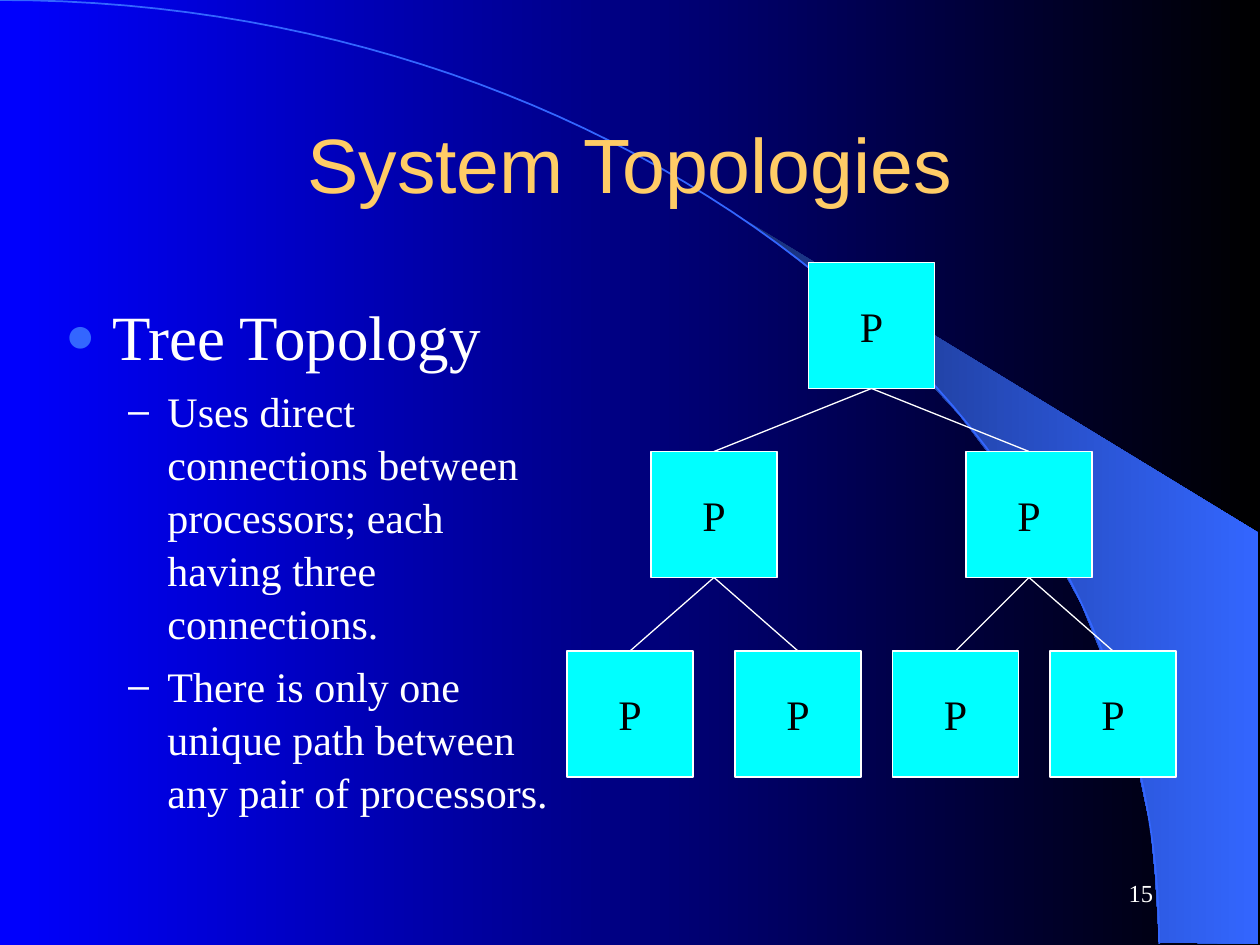
from lxml.etree import SubElement
from pptx import Presentation
from pptx.dml.color import RGBColor
from pptx.enum.shapes import MSO_CONNECTOR, MSO_SHAPE
from pptx.enum.text import MSO_ANCHOR, MSO_AUTO_SIZE, PP_ALIGN
from pptx.oxml.ns import qn
from pptx.util import Pt

BLUE = RGBColor(0x00, 0x00, 0xFF)
BLACK = RGBColor(0x00, 0x00, 0x00)
WHITE = RGBColor(0xFF, 0xFF, 0xFF)
GOLD = RGBColor(0xFF, 0xCC, 0x66)
CYAN = RGBColor(0x00, 0xFF, 0xFF)
SKY = RGBColor(0x33, 0x66, 0xFF)
NAVY = RGBColor(0x18, 0x2F, 0x76)

SERIF = "Times New Roman"
BOX = 72  # side of a processor square

# Left and top of each processor, level by level
TREE = [
    [(462, 150)],
    [(372, 258), (552, 258)],
    [(324, 372), (420, 372), (510, 372), (600, 372)],
]

FAN = [
    (662.4, 538.6), (719.3, 539.3), (719.3, 304.6), (424.1, 124.6),
    (449.3, 143.3), (470.2, 159.8), (493.2, 180), (515.5, 201.6),
    (548.6, 237.6), (578.2, 276.5), (599, 310.3), (617.8, 344.9),
    (632.2, 380.2), (643, 411.8), (650.2, 438.5), (657.4, 472.3),
    (660.2, 501.1),
]
ARC = [(0, 0), (365.8, 0), (662.4, 241.2), (662.4, 539.3)]  # Bézier controls

BULLETS = [
    ("Tree Topology", 0),
    ("Uses direct connections between processors; each having three "
     "connections.", 1),
    ("There is only one unique path between any pair of processors.", 1),
]
LEVELS = [
    {"size": 36, "margin": 27, "indent": -27, "before": 0,
     "char": "●", "color": SKY, "percent": 80},
    {"size": 24, "margin": 58.5, "indent": -22.5, "before": 6,
     "char": "–", "color": WHITE, "percent": 90},
]


def place(shape, left, top, width, height):
    box = {"left": left, "top": top, "width": width, "height": height}
    for name, value in box.items():
        setattr(shape, name, Pt(value))


def write(paragraph, text, size, color, font=SERIF, alignment=None):
    paragraph.alignment = alignment
    run = paragraph.add_run()
    run.text = text
    for name, value in {"name": font, "size": Pt(size)}.items():
        setattr(run.font, name, value)
    run.font.color.rgb = color


def set_gradient(fill, first, last):
    fill.gradient()
    fill.gradient_angle = 0
    for stop, color, position in zip(fill.gradient_stops, (first, last), (0, 1)):
        stop.color.rgb = color
        stop.position = position


def add_outline(slide, points, close):
    """Freeform through the points, sent behind all other shapes."""
    (left, top), *rest = [(Pt(x), Pt(y)) for x, y in points]
    builder = slide.shapes.build_freeform(left, top)
    builder.add_line_segments(rest, close=close)
    shape = builder.convert_to_shape()
    shape.shadow.inherit = False
    tree = shape.element.getparent()
    tree.insert(2, shape.element)
    return shape


def bezier(controls, steps=60):
    weights = (1, 3, 3, 1)
    for step in range(steps + 1):
        t = step / steps
        factors = [w * t ** i * (1 - t) ** (3 - i)
                   for i, w in enumerate(weights)]
        yield tuple(sum(f * point[axis] for f, point in zip(factors, controls))
                    for axis in (0, 1))


def add_backdrop(slide):
    set_gradient(slide.background.fill, BLUE, BLACK)
    arc = add_outline(slide, bezier(ARC), close=False)
    arc.fill.background()
    arc.line.color.rgb = SKY
    arc.line.width = Pt(1)
    fan = add_outline(slide, FAN, close=True)
    set_gradient(fan.fill, NAVY, SKY)
    fan.line.fill.background()


def set_bullet(paragraph, level):
    properties = paragraph._p.get_or_add_pPr()
    properties.set("marL", str(Pt(level["margin"])))
    properties.set("indent", str(Pt(level["indent"])))
    color = SubElement(properties, qn("a:buClr"))
    SubElement(color, qn("a:srgbClr"), val=str(level["color"]))
    SubElement(properties, qn("a:buSzPct"), val=str(level["percent"] * 1000))
    SubElement(properties, qn("a:buChar"), char=level["char"])


def fill_body(body):
    place(body, 30, 164, 300, 324)
    frame = body.text_frame
    frame.auto_size = MSO_AUTO_SIZE.NONE
    for index, (text, depth) in enumerate(BULLETS):
        level = LEVELS[depth]
        paragraph = frame.add_paragraph() if index else frame.paragraphs[0]
        set_bullet(paragraph, level)
        paragraph.level = depth
        paragraph.space_before = Pt(level["before"])
        paragraph.line_spacing = 1.05
        write(paragraph, text, level["size"], WHITE)


def add_processor(slide, left, top):
    shape = slide.shapes.add_shape(
        MSO_SHAPE.RECTANGLE, Pt(left), Pt(top), Pt(BOX), Pt(BOX))
    shape.shadow.inherit = False
    shape.fill.solid()
    shape.fill.fore_color.rgb = CYAN
    shape.line.color.rgb = WHITE
    shape.line.width = Pt(0.75)
    frame = shape.text_frame
    frame.word_wrap = False
    frame.vertical_anchor = MSO_ANCHOR.MIDDLE
    write(frame.paragraphs[0], "P", 24, BLACK, alignment=PP_ALIGN.CENTER)


def add_link(slide, parent, child):
    """Line from the bottom middle of the parent to the top of the child."""
    half = BOX / 2
    line = slide.shapes.add_connector(
        MSO_CONNECTOR.STRAIGHT, Pt(parent[0] + half), Pt(parent[1] + BOX),
        Pt(child[0] + half), Pt(child[1]))
    line.line.color.rgb = WHITE
    line.line.width = Pt(0.75)
    SubElement(line.element.spPr, qn("a:effectLst"))


def add_tree(slide):
    for level in TREE:
        for left, top in level:
            add_processor(slide, left, top)
    for parents, children in zip(TREE, TREE[1:]):
        for index, child in enumerate(children):
            add_link(slide, parents[index // 2], child)


def add_slide_number(slide):
    box = slide.shapes.add_textbox(Pt(516), Pt(492), Pt(150), Pt(36))
    frame = box.text_frame
    frame.word_wrap = True
    frame.vertical_anchor = MSO_ANCHOR.MIDDLE
    write(frame.paragraphs[0], "15", 14, WHITE, alignment=PP_ALIGN.RIGHT)


def main():
    presentation = Presentation()
    presentation.slide_width, presentation.slide_height = Pt(720), Pt(540)
    slide = presentation.slides.add_slide(presentation.slide_layouts[1])
    add_backdrop(slide)
    add_slide_number(slide)

    # Title and list
    title = slide.shapes.title
    place(title, 54, 48, 612, 90)
    title.text_frame.vertical_anchor = MSO_ANCHOR.MIDDLE
    write(title.text_frame.paragraphs[0], "System Topologies", 44, GOLD,
          font="Arial", alignment=PP_ALIGN.CENTER)
    fill_body(slide.placeholders[1])

    # Tree of processors
    add_tree(slide)
    presentation.save("out.pptx")


if __name__ == "__main__":
    main()
